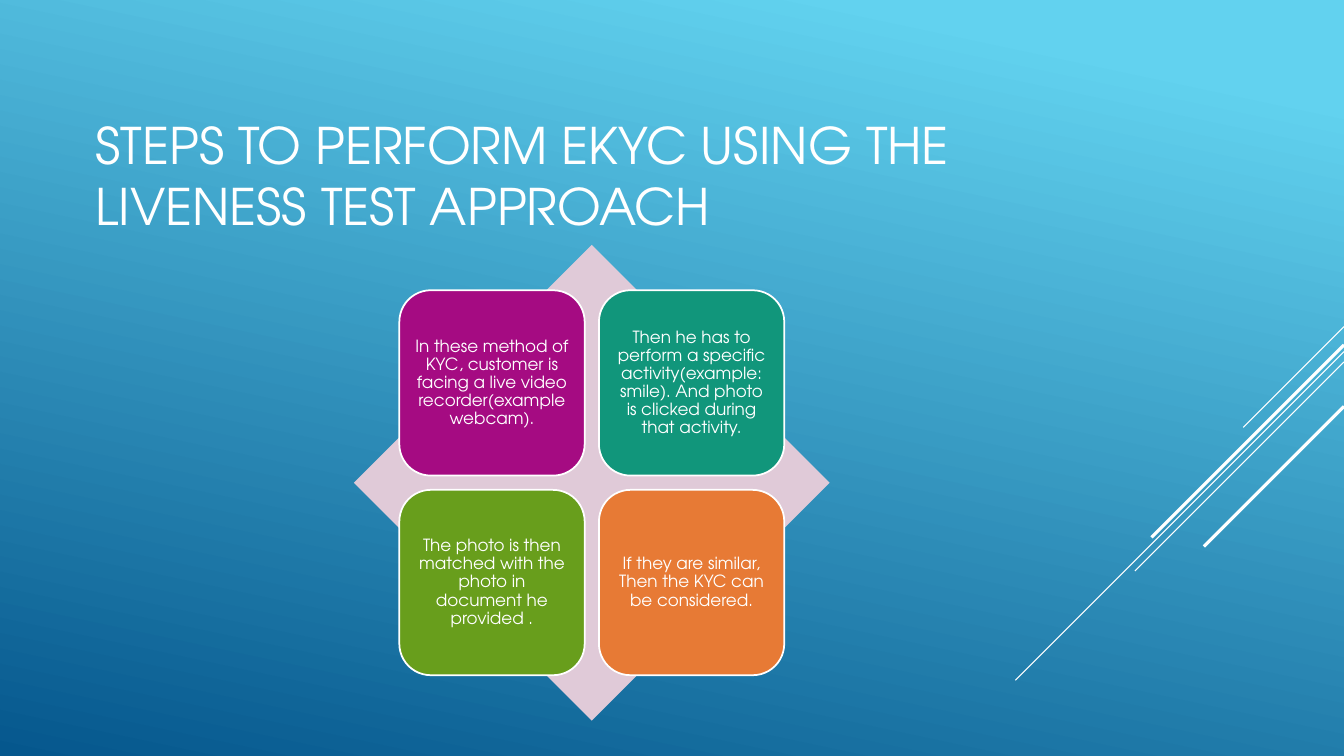
from lxml.etree import SubElement
from pptx import Presentation
from pptx.dml.color import RGBColor
from pptx.enum.shapes import MSO_CONNECTOR, MSO_SHAPE
from pptx.enum.text import MSO_ANCHOR, PP_ALIGN
from pptx.oxml.ns import qn
from pptx.util import Cm, Pt

TITLE = "STEPS TO PERFORM EKYC USING THE LIVENESS TEST APPROACH"
STEPS = [
    ("In these method of KYC, customer is facing a live video recorder(example webcam).", "A50B82"),
    ("Then he has to perform a specific activity(example: smile). And photo is clicked "
     "during that activity.", "11967B"),
    ("The photo is then matched with the photo in document he provided .", "689E1C"),
    ("If they are similar, Then the KYC can be considered.", "E77A35"),
]
# Diagonals from the right edge: top, run to the left and down (cm), width (pt)
DIAGONALS = [
    (8.23, 2.54, 0.75),
    (8.86, 8.28, 0.75),
    (9.12, 5.27, 0.75),
    (8.69, 4.85, 2.25),
    (10.24, 3.53, 2.25),
]
BACKGROUND = [(0.1, "62D2EF"), (1, "05578D")]
WHITE, DIAMOND_FILL = "FFFFFF", "E0CAD8"
FONT = "TeX Gyre Adventor"

SLIDE_W, SLIDE_H = 33.87, 19.05
DIAMOND_X, DIAMOND_Y, DIAMOND = 8.92, 6.17, 11.99
TILE, PITCH = 4.67, 5.03
MARGIN = (DIAMOND - TILE - PITCH) / 2


def rgb(value):
    return RGBColor.from_string(value)


def write(sp, text, size, inset_x, inset_y, **paragraph_format):
    tf = sp.text_frame
    frame_format = {
        "word_wrap": True, "vertical_anchor": MSO_ANCHOR.MIDDLE,
        "margin_left": Cm(inset_x), "margin_right": Cm(inset_x),
        "margin_top": Cm(inset_y), "margin_bottom": Cm(inset_y),
    }
    for name, value in frame_format.items():
        setattr(tf, name, value)
    p = tf.paragraphs[0]
    for name, value in paragraph_format.items():
        setattr(p, name, value)
    r = p.add_run()
    r.text = text
    for name, value in {"name": FONT, "size": Pt(size)}.items():
        setattr(r.font, name, value)
    r.font.color.rgb = rgb(WHITE)


def add_square(s, kind, x, y, side, fill):
    sp = s.shapes.add_shape(kind, Cm(x), Cm(y), Cm(side), Cm(side))
    sp.shadow.inherit = False
    sp.fill.solid()
    sp.fill.fore_color.rgb = rgb(fill)
    sp.line.fill.background()
    return sp


def paint_background(s):
    fill = s.background.fill
    fill.gradient()
    fill.gradient_angle = 360 - 102
    for stop, (position, color) in zip(fill.gradient_stops, BACKGROUND):
        stop.position = position
        stop.color.rgb = rgb(color)


def add_diagonals(s):
    for top, run, width in DIAGONALS:
        line = s.shapes.add_connector(
            MSO_CONNECTOR.STRAIGHT, Cm(SLIDE_W), Cm(top), Cm(SLIDE_W - run), Cm(top + run))
        line.line.color.rgb = rgb(WHITE)
        line.line.width = Pt(width)
        SubElement(line._element.spPr, qn("a:effectLst"))


def add_steps(s):
    add_square(s, MSO_SHAPE.DIAMOND, DIAMOND_X, DIAMOND_Y, DIAMOND, DIAMOND_FILL)
    for i, (text, color) in enumerate(STEPS):
        row, col = divmod(i, 2)
        tile = add_square(s, MSO_SHAPE.ROUNDED_RECTANGLE, DIAMOND_X + MARGIN + col * PITCH,
                          DIAMOND_Y + MARGIN + row * PITCH, TILE, color)
        tile.adjustments[0] = 0.17
        tile.line.color.rgb = rgb(WHITE)
        tile.line.width = Pt(1.25)
        write(tile, text, 12, 0.13, 0.13, alignment=PP_ALIGN.CENTER, line_spacing=0.9)


def main():
    prs = Presentation()
    prs.slide_width, prs.slide_height = Cm(SLIDE_W), Cm(SLIDE_H)
    s = prs.slides.add_slide(prs.slide_layouts[6])
    paint_background(s)
    add_diagonals(s)
    title = s.shapes.add_textbox(Cm(2.16), Cm(2.31), Cm(23.7), Cm(4.19))
    write(title, TITLE, 36, 0.25, 0.13)
    add_steps(s)
    prs.save("out.pptx")


if __name__ == "__main__":
    main()
